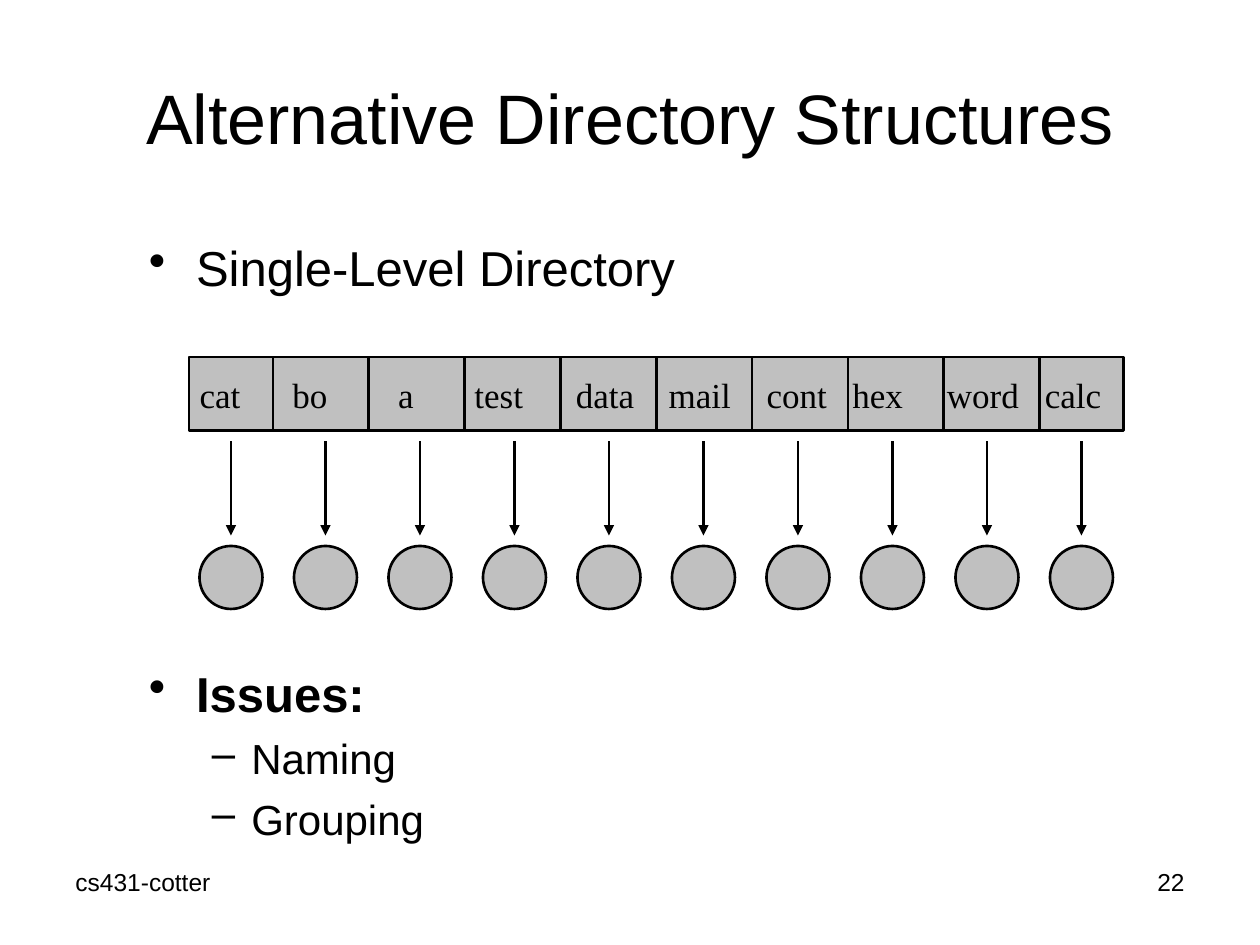
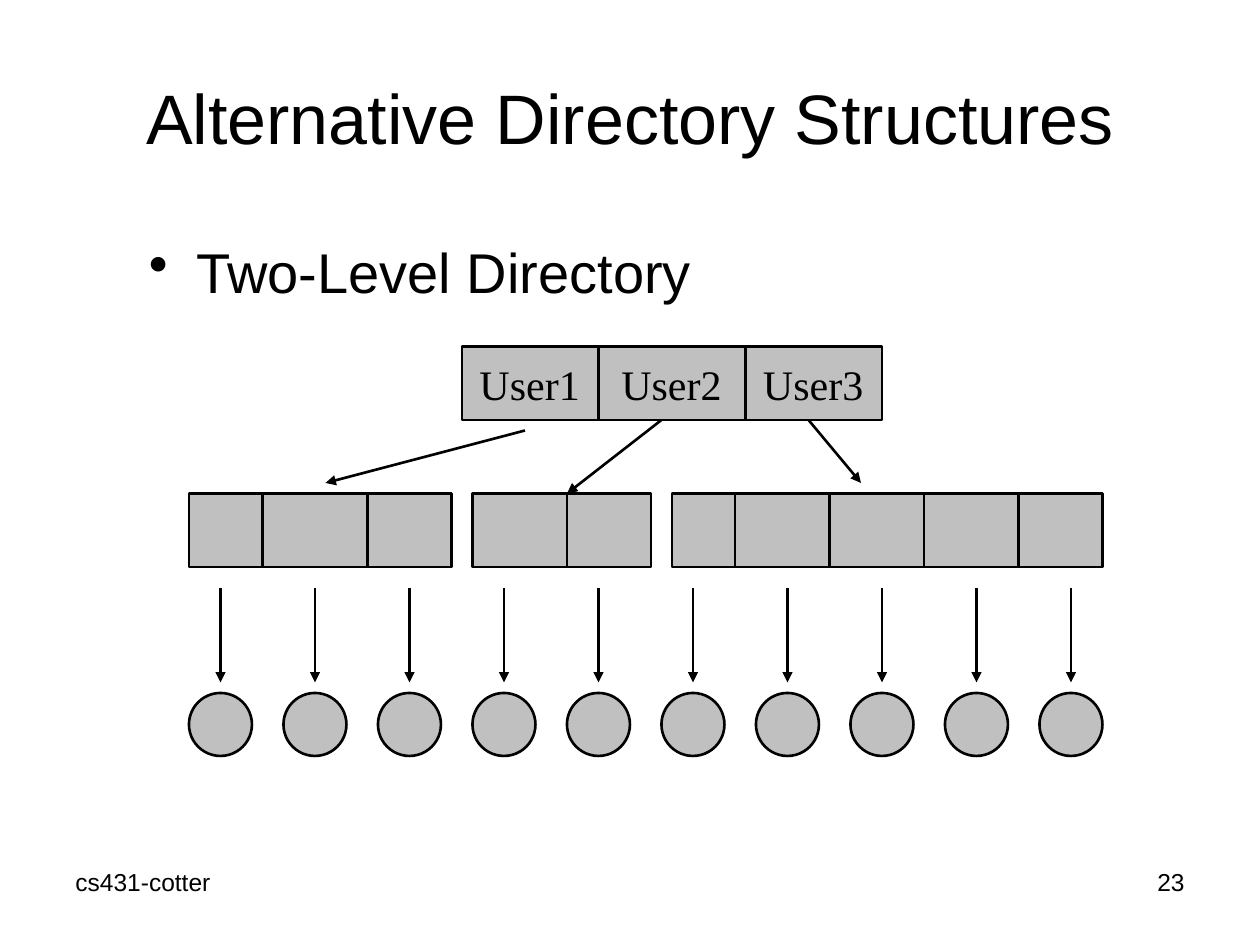
from lxml import etree
from pptx import Presentation
from pptx.dml.color import RGBColor
from pptx.enum.shapes import MSO_CONNECTOR, MSO_SHAPE
from pptx.enum.text import MSO_ANCHOR, PP_ALIGN
from pptx.oxml.ns import qn
from pptx.util import Pt

BLACK = RGBColor(0x00, 0x00, 0x00)
WHITE = RGBColor(0xFF, 0xFF, 0xFF)
SILVER = RGBColor(0xC0, 0xC0, 0xC0)
LEFT, CENTER, RIGHT = PP_ALIGN.LEFT, PP_ALIGN.CENTER, PP_ALIGN.RIGHT
TOP, MIDDLE = MSO_ANCHOR.TOP, MSO_ANCHOR.MIDDLE
RECT, OVAL = MSO_SHAPE.RECTANGLE, MSO_SHAPE.OVAL
STRAIGHT = MSO_CONNECTOR.STRAIGHT

SANS, SERIF = "Arial", "Times New Roman"
HEAD = "Alternative Directory Structures"
COURSE = "cs431-cotter"
ROW = 42     # height of a directory row
DISC = 36    # diameter of a file
STEP = 54    # distance between files
FILES = 10

# Bullet sign, left margin and hanging indent for each outline level
LEVELS = [("•", 27, -27), ("–", 58.5, -22.5)]


class Deck:
    """Holds the presentation, its style and the slide being drawn."""

    def __init__(self):
        self.prs = Presentation()
        self.prs.slide_width, self.prs.slide_height = Pt(720), Pt(540)
        self.shapes = None

    def slide(self, number):
        """Start a slide with the shared title and footer."""
        slide = self.prs.slides.add_slide(self.prs.slide_layouts[6])
        fill = slide.background.fill
        fill.solid()
        fill.fore_color.rgb = WHITE
        self.shapes = slide.shapes
        self.text((36, 492, 168, 37.5), COURSE, 14)
        self.text((516, 492, 168, 37.5), str(number), 14, align=RIGHT)
        self.text((36, 21.5, 648, 90), HEAD, 40, align=CENTER, anchor=MIDDLE)

    def frame(self, box, anchor=TOP):
        frame = self.shapes.add_textbox(*map(Pt, box)).text_frame
        frame.word_wrap = True
        frame.vertical_anchor = anchor
        return frame

    def put(self, para, text, size, name=SANS, bold=False):
        """Add a run of styled text to a paragraph."""
        run = para.add_run()
        run.text = text
        look = {"size": Pt(size), "name": name, "bold": bold}
        for key, value in look.items():
            setattr(run.font, key, value)
        run.font.color.rgb = BLACK

    def text(self, box, text, size, align=LEFT, anchor=TOP):
        para = self.frame(box, anchor).paragraphs[0]
        para.alignment = align
        self.put(para, text, size)

    def labels(self, frame, names, stops, size):
        """Set names in one line, each after the first at a tab stop."""
        para = frame.paragraphs[0]
        para.alignment = LEFT
        tabs = etree.SubElement(para._p.get_or_add_pPr(), qn("a:tabLst"))
        for stop in stops:
            etree.SubElement(tabs, qn("a:tab"), pos=str(Pt(stop)), algn="l")
        self.put(para, "\t".join(names), size, SERIF)

    def outline(self, box, items):
        """Add bullets from (text, level, size, bold, space before)."""
        frame = self.frame(box)
        for i, (text, level, size, bold, gap) in enumerate(items):
            para = frame.add_paragraph() if i else frame.paragraphs[0]
            sign, margin, indent = LEVELS[level]
            props = para._p.get_or_add_pPr()
            props.set("marL", str(Pt(margin)))
            props.set("indent", str(Pt(indent)))
            etree.SubElement(props, qn("a:buChar"), char=sign)
            para.level = level
            if gap:
                para.space_before = Pt(gap)
            self.put(para, text, size, bold=bold)

    def shape(self, kind, box):
        shape = self.shapes.add_shape(kind, *map(Pt, box))
        shape.shadow.inherit = False
        shape.fill.solid()
        shape.fill.fore_color.rgb = SILVER
        shape.line.color.rgb = BLACK
        shape.line.width = Pt(1.5)
        return shape

    def line(self, start, end, arrow=False):
        link = self.shapes.add_connector(STRAIGHT, *map(Pt, start + end))
        link.line.color.rgb = BLACK
        link.line.width = Pt(1.5)
        props = link._element.spPr
        if arrow:
            etree.SubElement(props.find(qn("a:ln")), qn("a:tailEnd"),
                             type="triangle")
        etree.SubElement(props, qn("a:effectLst"))

    def row(self, left, top, width, cuts):
        """Draw a directory row, divided at each x in cuts."""
        bar = self.shape(RECT, (left, top, width, ROW))
        for x in cuts:
            self.line((x, top), (x, top + ROW))
        return bar

    def files(self, left, top):
        """Draw the files, each with an arrow coming down to it."""
        for i in range(FILES):
            x = left + i * STEP
            mid = x + DISC / 2
            self.shape(OVAL, (x, top, DISC, DISC))
            self.line((mid, top - 60), (mid, top - 6), arrow=True)


def single(deck):
    deck.slide(22)
    deck.outline((78, 132, 612, 366), [
        ("Single-Level Directory", 0, 28, False, 0),
        ("Issues:", 0, 28, True, 210),
        ("Naming", 1, 24, False, 6),
        ("Grouping", 1, 24, False, 6),
    ])
    deck.row(108, 204, 534, [156 + 54.75 * i for i in range(9)])
    names = "cat bo a test data mail cont hex word calc".split()
    stops = [53, 113.5, 157, 215, 268, 324, 373, 427, 483]
    deck.labels(deck.frame((107, 210, 540, 32)), names, stops, 20)
    deck.files(114, 312)


def double(deck):
    deck.slide(23)
    deck.outline((78, 132, 612, 324),
                 [("Two-Level Directory", 0, 32, False, 0)])
    deck.files(108, 396)
    for left, width, cuts in [(108, 150, [150, 210]),
                              (270, 102, [324]),
                              (384, 246, [420, 474, 528, 582])]:
        deck.row(left, 282, width, cuts)
    frame = deck.row(264, 198, 240, [342, 426]).text_frame
    frame.margin_left = Pt(10)
    frame.vertical_anchor = MIDDLE
    deck.labels(frame, ["User1", "User2", "User3"], [81, 162], 24)
    for start, end in [((300, 246), (186, 276)),
                       ((378, 240), (324, 282)),
                       ((462, 240), (492, 276))]:
        deck.line(start, end, arrow=True)


def main():
    deck = Deck()
    single(deck)
    double(deck)
    deck.prs.save("out.pptx")


if __name__ == "__main__":
    main()
